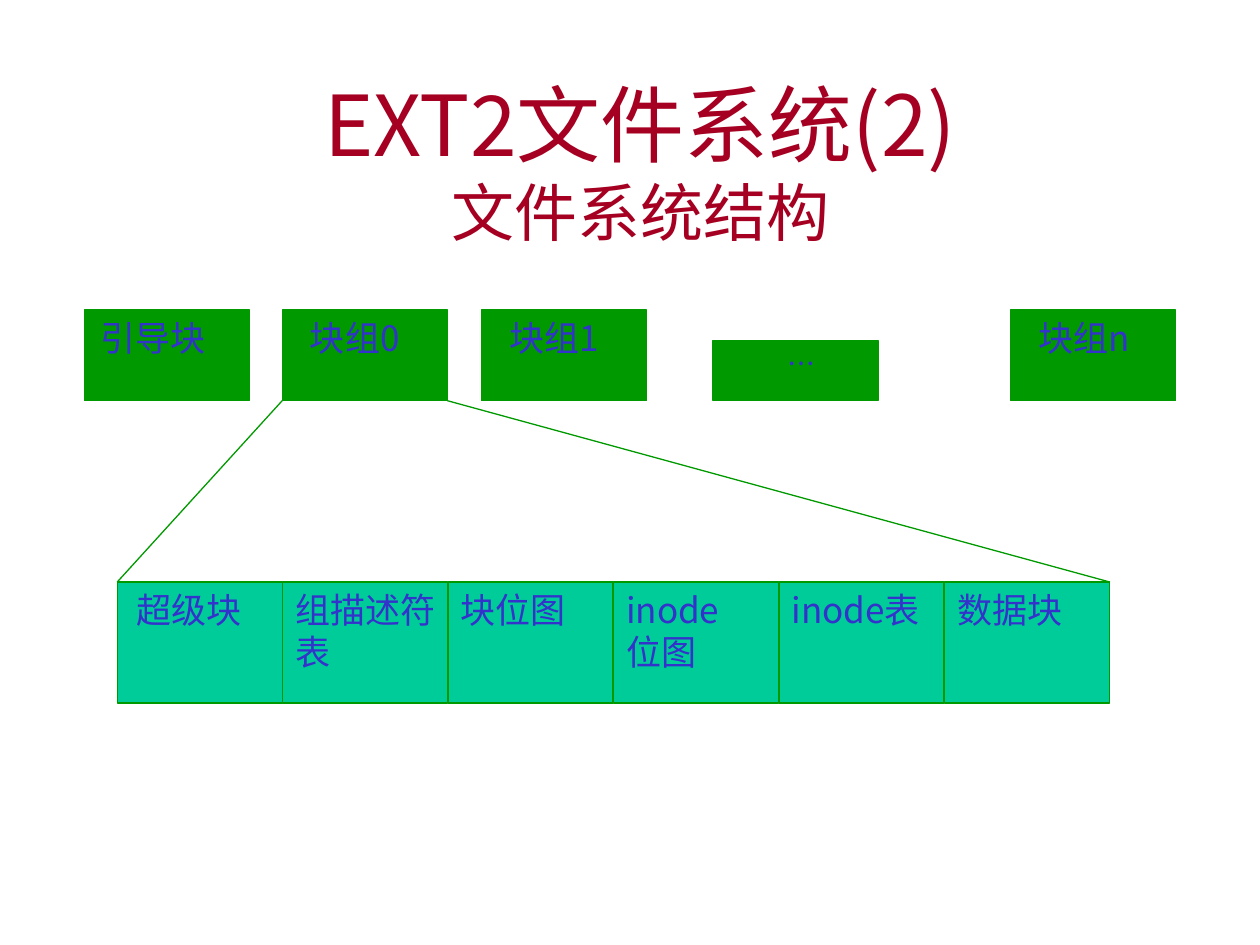
from dataclasses import dataclass

from lxml import etree
from pptx import Presentation
from pptx.dml.color import RGBColor
from pptx.enum import shapes, text
from pptx.oxml.ns import qn
from pptx.util import Inches, Pt

FONT = "Noto Sans CJK JP"
COLORS = {"title": "A50021", "label": "3333CC", "group": "009900", "part": "00CC99"}
BLOCK_WIDTH = 1.31
GROUP_BOTTOM = 3.18
PART_LEFT, PART_RIGHT, PART_TOP, PART_HEIGHT = 0.93, 8.81, 4.62, 0.96


@dataclass
class Block:
    label: str
    left: float
    top: float
    height: float
    fill: str
    indent: float = 0.1
    size: int = 20


def color(name: str) -> RGBColor:
    return RGBColor.from_string(COLORS[name])


def style_font(font, size: int, color_name: str) -> None:
    font.name = FONT
    font.size = Pt(size)
    font.color.rgb = color(color_name)


def draw_title(slide) -> None:
    title = slide.shapes.title
    title.left, title.top = Inches(0.83), Inches(0.65)
    title.width, title.height = Inches(8.5), Inches(1.25)
    frame = title.text_frame
    frame.vertical_anchor = text.MSO_ANCHOR.MIDDLE
    frame.auto_size = text.MSO_AUTO_SIZE.NONE
    para = frame.paragraphs[0]
    para.alignment = text.PP_ALIGN.CENTER
    for line, size in (("EXT2文件系统(2)", 48), ("文件系统结构", 36)):
        if para.runs:
            para.add_line_break()
        span = para.add_run()
        span.text = line
        style_font(span.font, size, "title")


def draw_block(slide, block: Block) -> None:
    box = slide.shapes.add_shape(
        shapes.MSO_SHAPE.RECTANGLE, Inches(block.left), Inches(block.top),
        Inches(BLOCK_WIDTH), Inches(block.height))
    box.shadow.inherit = False
    box.fill.solid()
    box.fill.fore_color.rgb = color(block.fill)
    box.line.color.rgb = color("group")
    box.line.width = Pt(0.75)
    frame = box.text_frame
    frame.word_wrap = True
    frame.vertical_anchor = text.MSO_ANCHOR.TOP
    frame.margin_left = Inches(block.indent)
    frame.text = block.label
    for para in frame.paragraphs:
        para.alignment = text.PP_ALIGN.LEFT
        style_font(para.font, block.size, "label")


def draw_line(slide, start: float, end: float) -> None:
    line = slide.shapes.add_connector(
        shapes.MSO_CONNECTOR.STRAIGHT, Inches(start), Inches(GROUP_BOTTOM),
        Inches(end), Inches(PART_TOP))
    line.line.color.rgb = color("group")
    line.line.width = Pt(0.75)
    etree.SubElement(line._element.spPr, qn("a:effectLst"))


def group_block(label: str, left: float, height: float = 0.72,
                indent: float = 0.22, size: int = 20) -> Block:
    return Block(label, left, GROUP_BOTTOM - height, height, "group", indent, size)


def main() -> None:
    deck = Presentation()
    deck.slide_width, deck.slide_height = Inches(10), Inches(7.5)
    slide = deck.slides.add_slide(deck.slide_layouts[5])
    draw_title(slide)

    groups = [
        group_block("引导块", 0.67, indent=0.13),
        group_block("块组0", 2.24),
        group_block("块组1", 3.82),
        group_block("…", 5.66, height=0.48, indent=0.59, size=16),
        group_block("块组n", 8.02),
    ]
    labels = ["超级块", "组描述符表", "块位图", "inode\n位图", "inode表", "数据块"]
    step = (PART_RIGHT - PART_LEFT) / len(labels)
    parts = [
        Block(label, PART_LEFT + index * step, PART_TOP, PART_HEIGHT, "part")
        for index, label in enumerate(labels)
    ]
    parts[0].indent = 0.15
    for block in groups + parts:
        draw_block(slide, block)

    expanded = groups[1]
    draw_line(slide, expanded.left, PART_LEFT)
    draw_line(slide, expanded.left + BLOCK_WIDTH, PART_RIGHT)
    deck.save("out.pptx")


if __name__ == "__main__":
    main()
